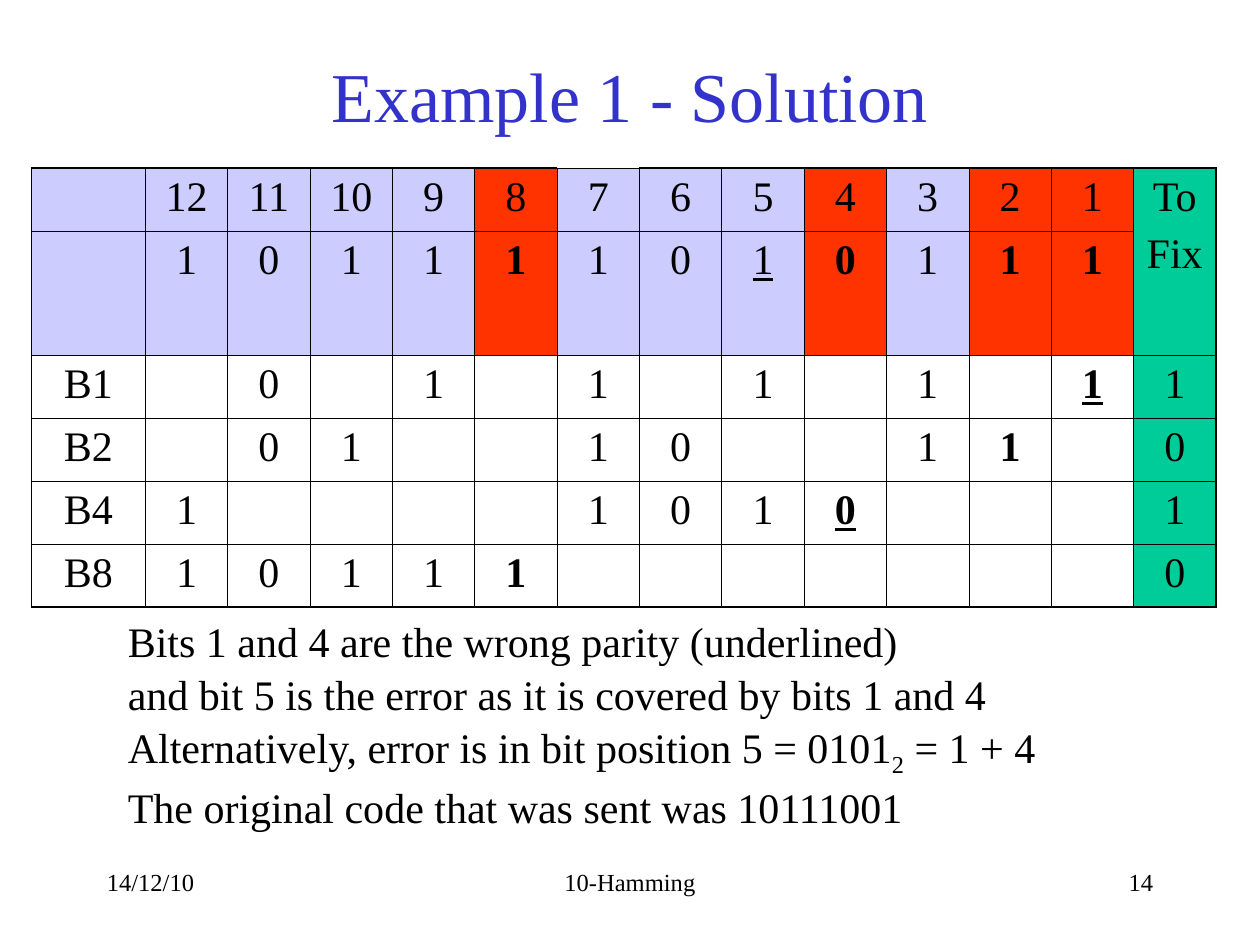
import pptx
import pptx.dml.color
import pptx.enum.text
import pptx.oxml
import pptx.oxml.ns
import pptx.util

RGBColor = pptx.dml.color.RGBColor
Align = pptx.enum.text.PP_ALIGN
Anchor = pptx.enum.text.MSO_ANCHOR
Pt = pptx.util.Pt

BLACK = RGBColor(0x00, 0x00, 0x00)
TITLE_BLUE = RGBColor(0x33, 0x33, 0xCC)
LAVENDER = RGBColor(0xCC, 0xCC, 0xFF)
PARITY_RED = RGBColor(0xFF, 0x33, 0x00)
FIX_GREEN = RGBColor(0x00, 0xCC, 0x99)

# The slide is a grid of 120 columns by 90 rows.
UNIT = pptx.util.Inches(10) // 120
THIN, THICK = Pt(0.45), Pt(1.08)


def write(frame, text, size=24, color=BLACK, align=Align.LEFT, gap=0,
          bold=False, underline=False):
    """Write one paragraph per line; text between underscores is subscript."""
    for number, line in enumerate(text.split("\n")):
        paragraph = frame.add_paragraph() if number else frame.paragraphs[0]
        paragraph.alignment = align
        if number:
            paragraph.space_before = Pt(gap)
        for part, piece in enumerate(line.split("_")):
            run = paragraph.add_run()
            run.text = piece
            run.font.name = "Times New Roman"
            run.font.size = Pt(size)
            run.font.color.rgb = color
            run.font.bold = bold
            run.font.underline = underline
            if part % 2:
                run._r.get_or_add_rPr().set("baseline", "-25000")


def draw_borders(cell, widths):
    """Draw the left, right, top and bottom borders, in that order."""
    properties = cell._tc.get_or_add_tcPr()
    for side, width in zip("LRTB", widths):
        properties.append(pptx.oxml.parse_xml(
            f'<a:ln{side} {pptx.oxml.ns.nsdecls("a")} w="{int(width)}">'
            f'<a:solidFill><a:srgbClr val="{BLACK}"/></a:solidFill></a:ln{side}>'))


deck = pptx.Presentation()
deck.slide_width, deck.slide_height = 120 * UNIT, 90 * UNIT
slide = deck.slides.add_slide(deck.slide_layouts[6])

# Title, explanation and footer: column, row, width, height, text, anchor, format
explanation = """Bits 1 and 4 are the wrong parity (underlined)
and bit 5 is the error as it is covered by bits 1 and 4
Alternatively, error is in bit position 5 = 0101_2_ = 1 + 4
The original code that was sent was 10111001"""
texts = [
    (9, 4, 102, 10, "Example 1 - Solution", Anchor.MIDDLE,
     dict(size=40, color=TITLE_BLUE, align=Align.CENTER)),
    (11, 58, 89, 21, explanation, Anchor.TOP, dict(gap=1.5)),
    (9, 82, 25, 6, "14/12/10", Anchor.TOP, dict(size=14)),
    (41, 82, 38, 6, "10-Hamming", Anchor.TOP, dict(size=14, align=Align.CENTER)),
    (86, 82, 25, 6, "14", Anchor.TOP, dict(size=14, align=Align.RIGHT)),
]
for column, row, width, height, text, anchor, style in texts:
    frame = slide.shapes.add_textbox(
        column * UNIT, row * UNIT, width * UNIT, height * UNIT).text_frame
    frame.word_wrap = text != explanation
    frame.vertical_anchor = anchor
    write(frame, text, **style)

# Each check row repeats the received bits that its parity bit covers.
positions = list(range(12, 0, -1))
received = dict(zip(positions, "101110101" "111"))
received.update(zip(positions, "101111010111"))
parity_bits = [1, 2, 4, 8]
rows = [["", *map(str, positions), "To\nFix"],
        ["", *received.values(), ""]]
for parity in parity_bits:
    covered = [received[p] if p & parity else "" for p in positions]
    rows.append([f"B{parity}", *covered, str(covered.count("1") % 2)])
underlined = {(1, 5), (2, 1), (4, 4)}  # row, bit position
last_row, last_column = len(rows) - 1, len(rows[0]) - 1

hamming = slide.shapes.add_table(len(rows), len(rows[0]), 3 * UNIT, 16 * UNIT,
                                 113 * UNIT, 42 * UNIT).table
hamming.first_row = hamming.horz_banding = False
for number, column in enumerate(hamming.columns):
    column.width = int((102 / 13 if number else 10.85) * UNIT)
for number, row in enumerate(hamming.rows):
    row.height = int((11.8 if number == 1 else 6) * UNIT)
hamming.cell(0, last_column).merge(hamming.cell(1, last_column))

for r, row in enumerate(rows):
    for c, text in enumerate(row):
        cell = hamming.cell(r, c)
        position = 13 - c
        is_parity = position in parity_bits
        draw_borders(cell, [
            THICK if c == 0 else THIN,
            THICK if c == last_column else THIN,
            THICK if r == 0 and position != 7 else THIN,
            THICK if r == last_row else THIN])
        if c == last_column or r < 2:
            cell.fill.solid()
            cell.fill.fore_color.rgb = (FIX_GREEN if c == last_column else
                                        PARITY_RED if is_parity else LAVENDER)
        else:
            cell.fill.background()
        if text:
            write(cell.text_frame, text, align=Align.CENTER, gap=6,
                  bold=is_parity and r > 0,
                  underline=(r, position) in underlined)

deck.save("out.pptx")
